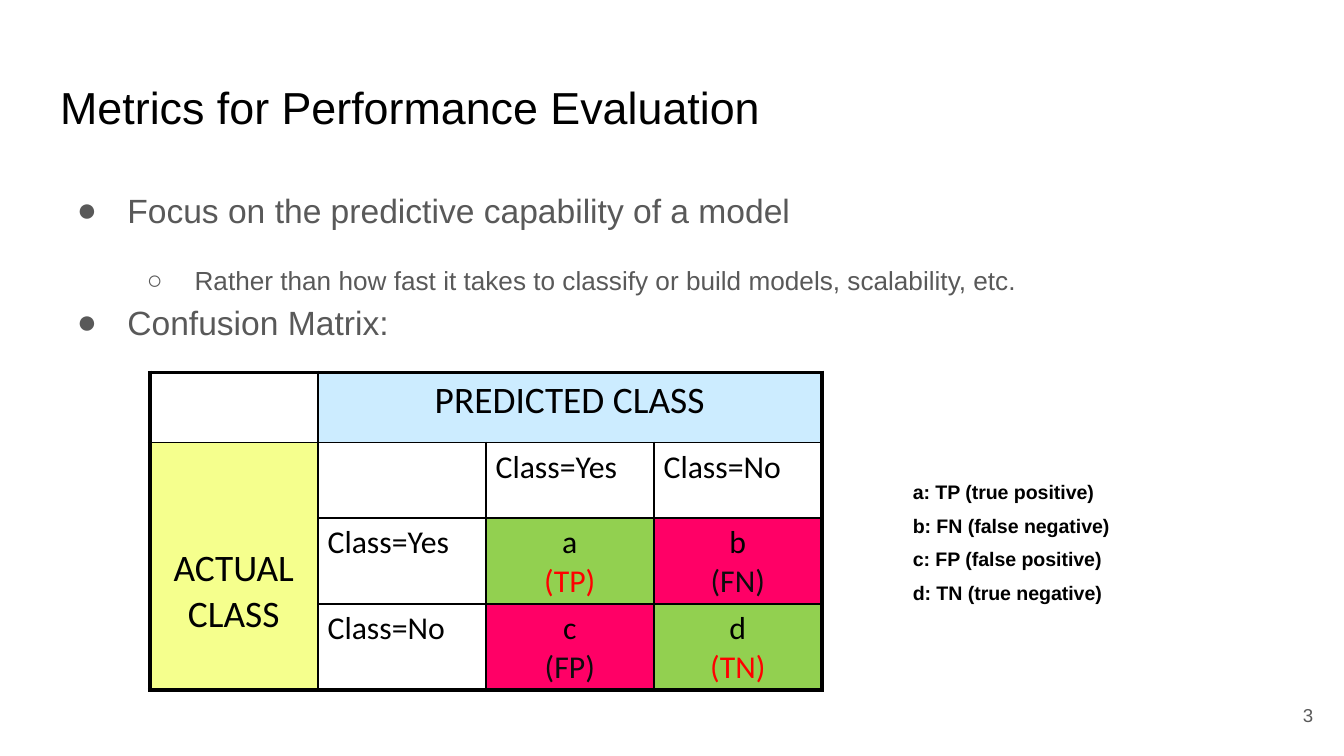
"""Builds a slide on metrics for performance evaluation."""
from dataclasses import dataclass
from lxml import etree
from pptx import Presentation
from pptx.dml.color import RGBColor
from pptx.enum.text import MSO_ANCHOR, PP_ALIGN
from pptx.oxml.ns import qn
from pptx.util import Pt

LEFT, MID, RIGHT = PP_ALIGN.LEFT, PP_ALIGN.CENTER, PP_ALIGN.RIGHT
TOP, CENTER = MSO_ANCHOR.TOP, MSO_ANCHOR.MIDDLE
SCALE = 9525


@dataclass(frozen=True)
class Theme:
    sans: str = "Arial"
    grid: str = "Calibri"
    ink: str = "000000"
    soft: str = "0D0D0D"
    gray: str = "595959"
    red: str = "FF0000"
    blue: str = "CCECFF"
    lime: str = "F5FF8D"
    green: str = "92D050"
    pink: str = "FF0066"
    title: float = 24
    main: float = 18
    sub: float = 14
    note: float = 10.5
    page: float = 10
    head: float = 20
    cell: float = 17
    thick: float = 2.25
    thin: float = 1


def px(num):
    return num * SCALE


def put(item, **vals):
    for name, val in vals.items():
        setattr(item, name, val)


class Deck:
    def __init__(self, theme, wide, high):
        self.theme = theme
        self.show = Presentation()
        put(self.show, slide_width=px(wide), slide_height=px(high))
        self.slide = self.show.slides.add_slide(self.show.slide_layouts[6])

    def run(self, para, text, size, color, face, bold=False):
        run = para.add_run()
        run.text = text
        put(run.font, size=Pt(size), name=face, bold=bold)
        run.font.color.rgb = RGBColor.from_string(color)

    def lines(self, frame, texts, size, color, align=LEFT, bold=False, **vals):
        for i, text in enumerate(texts):
            para = frame.add_paragraph() if i else frame.paragraphs[0]
            put(para, alignment=align, **vals)
            self.run(para, text, size, color, self.theme.sans, bold)

    def box(self, left, top, wide, high, pad=10, anchor=TOP):
        shape = self.slide.shapes.add_textbox(*map(px, (left, top, wide, high)))
        frame = shape.text_frame
        put(frame, word_wrap=True, vertical_anchor=anchor, margin_top=px(pad),
            margin_bottom=px(pad), margin_left=px(10), margin_right=px(10))
        return frame

    def points(self, frame, items):
        marks = [("●", 48, 36, self.theme.main, 0), ("○", 96, 34, self.theme.sub, 16)]
        for i, (level, text) in enumerate(items):
            mark, left, hang, size, space = marks[level]
            para = frame.add_paragraph() if i else frame.paragraphs[0]
            put(para, level=level, line_spacing=1.15, space_before=Pt(space))
            self.run(para, text, size, self.theme.gray, self.theme.sans)
            props = para._p.get_or_add_pPr()
            props.set("marL", str(px(left)))
            props.set("indent", str(px(-hang)))
            etree.SubElement(props, qn("a:buFont")).set("typeface", self.theme.sans)
            etree.SubElement(props, qn("a:buChar")).set("char", mark)

    def table(self, left, top, cols, rows, spans):
        size = map(px, (left, top, sum(cols), sum(rows)))
        table = self.slide.shapes.add_table(len(rows), len(cols), *size).table
        put(table, first_row=False, horz_banding=False)
        for col, wide in zip(table.columns, cols):
            col.width = px(wide)
        for row, high in zip(table.rows, rows):
            row.height = px(high)
        for start, end in spans:
            table.cell(*start).merge(table.cell(*end))
        for r in range(len(rows)):
            for c in range(len(cols)):
                cell = table.cell(r, c)
                cell.fill.background()
                put(cell, margin_left=px(7), margin_right=px(7),
                    margin_top=px(4), margin_bottom=px(3))
                last = c + cell.span_width == len(cols)
                base = r + cell.span_height == len(rows)
                self.edges(cell, {"lnL": c == 0, "lnR": last, "lnT": r == 0, "lnB": base})
        return table

    def edges(self, cell, sides):
        props = cell._tc.get_or_add_tcPr()
        for i, (side, outer) in enumerate(sides.items()):
            line = etree.Element(qn("a:" + side))
            line.set("w", str(Pt(self.theme.thick if outer else self.theme.thin)))
            fill = etree.SubElement(line, qn("a:solidFill"))
            etree.SubElement(fill, qn("a:srgbClr")).set("val", self.theme.ink)
            props.insert(i, line)

    def fill(self, cell, parts, size, align=LEFT, back=None):
        para = cell.text_frame.paragraphs[0]
        para.alignment = align
        for i, (text, color) in enumerate(parts):
            if i:
                para.add_line_break()
            self.run(para, text, size, color, self.theme.grid)
        if back:
            cell.fill.solid()
            cell.fill.fore_color.rgb = RGBColor.from_string(back)


def main():
    look = Theme()
    deck = Deck(look, 960, 540)
    deck.lines(deck.box(890, 490, 58, 41, anchor=CENTER), ["3"], look.page, look.gray, RIGHT)
    deck.lines(deck.box(33, 47, 895, 60), ["Metrics for Performance Evaluation"],
               look.title, look.ink)
    deck.points(deck.box(33, 121, 895, 359), [
        (0, "Focus on the predictive capability of a model"),
        (1, "Rather than how fast it takes to classify or build models, scalability, etc."),
        (0, "Confusion Matrix:")])
    deck.lines(deck.box(642, 338, 174, 103, pad=5),
               ["a: TP (true positive)", "b: FN (false negative)",
                "c: FP (false positive)", "d: TN (true negative)"],
               look.note, look.ink, bold=True, space_before=Pt(5.4))

    grid = deck.table(107, 266, [120] * 4, [50, 54, 60, 61],
                      [((0, 1), (0, 3)), ((1, 0), (3, 0))])
    deck.fill(grid.cell(0, 1), [("PREDICTED CLASS", look.ink)], look.head, MID, look.blue)
    side = grid.cell(1, 0)
    side.margin_top = px(74)
    deck.fill(side, [("ACTUAL", look.ink), ("CLASS", look.ink)], look.head, MID, look.lime)
    for i, name in enumerate(["Class=Yes", "Class=No"], 2):
        for spot in ((1, i), (i, 1)):
            deck.fill(grid.cell(*spot), [(name, look.ink)], look.cell)
    for i, (key, code) in enumerate([("a", "TP"), ("b", "FN"), ("c", "FP"), ("d", "TN")]):
        row, col = divmod(i, 2)
        tint, back = (look.red, look.green) if row == col else (look.soft, look.pink)
        deck.fill(grid.cell(row + 2, col + 2), [(key, look.ink), (f"({code})", tint)],
                  look.cell, MID, back)
    deck.show.save("out.pptx")


if __name__ == "__main__":
    main()
